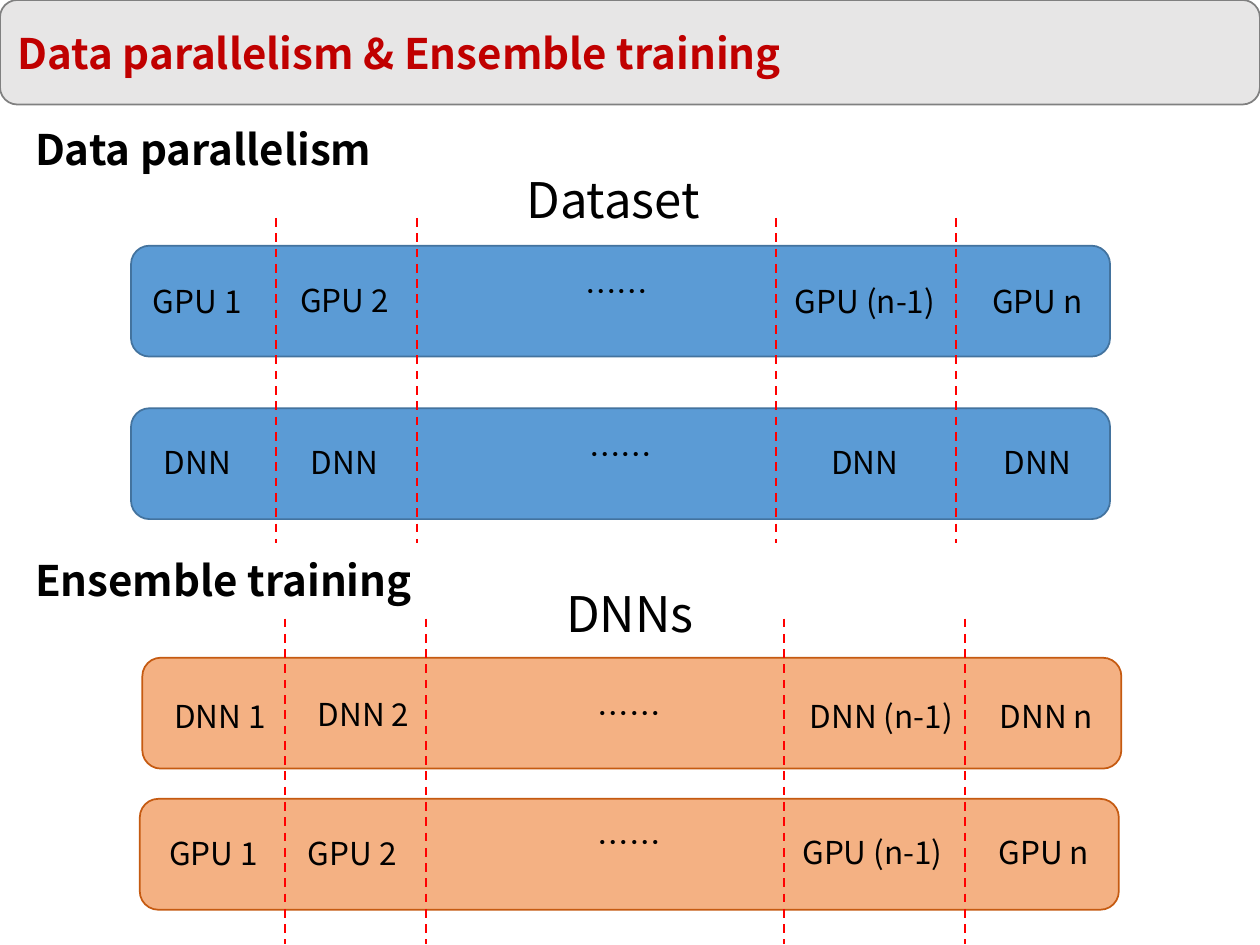
from dataclasses import dataclass
from lxml.etree import SubElement
from pptx import Presentation
from pptx.dml.color import RGBColor as RGB
from pptx.enum.dml import MSO_LINE as Dash
from pptx.enum.shapes import MSO_CONNECTOR as Link, MSO_SHAPE as Shape
from pptx.enum.text import MSO_ANCHOR as Anchor, MSO_AUTO_SIZE as Fit, PP_ALIGN as Align
from pptx.oxml.ns import qn
from pptx.util import Inches, Pt


@dataclass
class Theme:
    font: str = "Noto Sans CJK SC"
    black: str = "000000"
    title: str = "C00000"
    cut: str = "FF0000"
    gray: tuple = ("E7E6E6", "808080")
    blue: tuple = ("5B9BD5", "43739E")
    orange: tuple = ("F4B183", "C55A11")
    head: int = 24
    name: int = 28
    cell: int = 18


theme = Theme()
deck = Presentation()
deck.slide_width, deck.slide_height = Inches(10), Inches(7.5)
slide = deck.slides.add_slide(deck.slide_layouts[5])
shapes = slide.shapes


def write(box, text, size, color=theme.black, bold=False, align=Align.CENTER):
    """Put one styled line of text in a box."""
    frame = box.text_frame
    frame.text = text
    para = frame.paragraphs[0]
    para.alignment = align
    run = para.runs[0]
    font = run.font
    font.name, font.size, font.bold = theme.font, Pt(size), bold
    font.color.rgb = RGB.from_string(color)
    # East Asian face, used for the ellipsis
    SubElement(run._r.get_or_add_rPr(), qn("a:ea"), typeface=theme.font)


def add_bar(left, top, width, height, colors):
    """Add a rounded bar with a (fill, line) pair of colours."""
    bar = shapes.add_shape(Shape.ROUNDED_RECTANGLE, Inches(left), Inches(top),
                           Inches(width), Inches(height))
    bar.shadow.inherit = False
    bar.fill.solid()
    bar.fill.fore_color.rgb = RGB.from_string(colors[0])
    bar.line.color.rgb = RGB.from_string(colors[1])
    bar.line.width = Pt(1)
    return bar


# Title on its bar
title = shapes.title
title.left, title.top = Inches(0.04), Inches(0)
title.width, title.height = Inches(9.9), Inches(0.83)
write(title, "Data parallelism & Ensemble training", theme.head,
      theme.title, True, Align.LEFT)
title.text_frame.vertical_anchor = Anchor.MIDDLE
title.text_frame.auto_size = Fit.NONE
title.element.addprevious(add_bar(0, 0, 10, 0.83, theme.gray).element)

# Bars: left, top, colours, and cells as (text, left, top)
bars = [
    (1.04, 1.95, theme.blue,
     [("GPU 1", 1.04, 2.19), ("GPU 2", 2.21, 2.18), ("……", 4.37, 2.11),
      ("GPU (n-1)", 6.08, 2.19), ("GPU n", 7.71, 2.19)]),
    (1.04, 3.24, theme.blue,
     [("DNN", 1.04, 3.47), ("DNN", 2.21, 3.47), ("……", 4.4, 3.4),
      ("DNN", 6.08, 3.47), ("DNN", 7.71, 3.47)]),
    (1.13, 5.22, theme.orange,
     [("DNN 1", 1.22, 5.48), ("DNN 2", 2.36, 5.47), ("……", 4.47, 5.46),
      ("DNN (n-1)", 6.21, 5.48), ("DNN n", 7.78, 5.48)]),
    (1.11, 6.34, theme.orange,
     [("GPU 1", 1.17, 6.57), ("GPU 2", 2.27, 6.57), ("……", 4.47, 6.48),
      ("GPU (n-1)", 6.14, 6.56), ("GPU n", 7.76, 6.56)]),
]
widths = [1.05, 1.05, 1.05, 1.57, 1.05]
labels = []
for left, top, colors, cells in bars:
    add_bar(left, top, 7.77, 0.88, colors)
    for (text, x, y), width in zip(cells, widths):
        labels.append((text, x, y, width, 0.4, theme.cell, False))

# Section heads and the names above the bars
labels += [
    ("Data parallelism", 0.18, 0.93, 3.04, 0.5, theme.head, True),
    ("Dataset ", 1.01, 1.3, 7.8, 0.57, theme.name, False),
    ("Ensemble training", 0.18, 4.35, 3.26, 0.5, theme.head, True),
    ("DNNs", 1.1, 4.58, 7.8, 0.57, theme.name, False),
]
for text, x, y, width, height, size, head in labels:
    box = shapes.add_textbox(Inches(x), Inches(y), Inches(width), Inches(height))
    box.text_frame.word_wrap = not head
    box.text_frame.auto_size = Fit.SHAPE_TO_FIT_TEXT
    write(box, text, size, bold=head, align=Align.LEFT if head else Align.CENTER)

# Dashed cuts through each pair of bars
cuts = [(1.73, 4.31, [2.19, 3.31, 6.16, 7.59]),
        (4.91, 7.49, [2.26, 3.38, 6.22, 7.66])]
for top, end, places in cuts:
    for x in places:
        cut = shapes.add_connector(Link.STRAIGHT, Inches(x), Inches(top),
                                   Inches(x), Inches(end))
        cut.line.color.rgb = RGB.from_string(theme.cut)
        cut.line.width = Pt(1.25)
        cut.line.dash_style = Dash.DASH
        SubElement(cut.element.spPr, qn("a:effectLst"))

deck.save("out.pptx")
